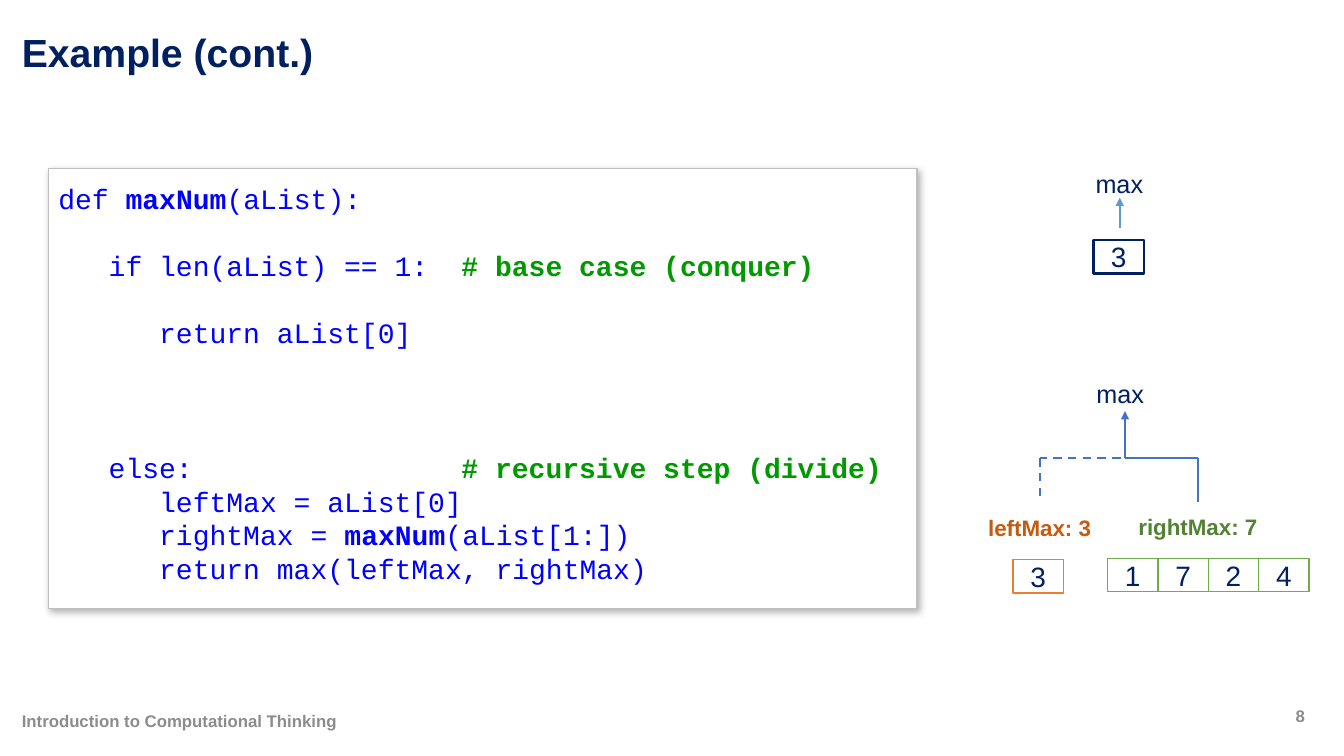
from lxml.etree import SubElement
from pptx import Presentation
from pptx.dml.color import RGBColor
from pptx.enum.dml import MSO_LINE
from pptx.enum.shapes import MSO_CONNECTOR, MSO_SHAPE
from pptx.enum.text import MSO_ANCHOR, PP_ALIGN
from pptx.oxml import parse_xml
from pptx.oxml.ns import nsdecls, qn
from pptx.util import Cm, Pt

NAVY = RGBColor(0x00, 0x20, 0x60)
GRAY = RGBColor(0x8C, 0x8C, 0x8C)
EDGE = RGBColor(0xBF, 0xBF, 0xBF)
WHITE = RGBColor(0xFF, 0xFF, 0xFF)
CODE = RGBColor(0x00, 0x00, 0xFF)
NOTE = RGBColor(0x00, 0x99, 0x00)
ORANGE = RGBColor(0xED, 0x7D, 0x31)
RUST = RGBColor(0xC5, 0x5A, 0x11)
GREEN = RGBColor(0x70, 0xAD, 0x47)
MOSS = RGBColor(0x54, 0x82, 0x35)
SKY = RGBColor(0x5B, 0x9B, 0xD5)
BLUE = RGBColor(0x44, 0x72, 0xC4)

# Text formats
HEAD = {"name": "Arial", "size": Pt(28), "bold": True, "color": NAVY}
FOOT = {"name": "Arial", "size": Pt(12), "bold": True, "color": GRAY}
WORD = {"name": "Arial", "size": Pt(18), "color": NAVY}
DIGIT = {"name": "Arial", "size": Pt(20), "color": NAVY}
LEFT = {"name": "Arial", "size": Pt(16), "bold": True, "color": RUST}
RIGHT = {**LEFT, "color": MOSS}
PLAIN = {"name": "Courier New", "size": Pt(20), "color": CODE}
BOLD = {**PLAIN, "bold": True}
REMARK = {**BOLD, "color": NOTE}

# Content: box (left, top, width, height in cm), text, format, align, anchor
MID, TOP = MSO_ANCHOR.MIDDLE, MSO_ANCHOR.TOP
START, CENTER = PP_ALIGN.LEFT, PP_ALIGN.CENTER
LABELS = [
    ((0.3, 0.43, 32.26, 1.73), "Example (cont.)", HEAD, START, MID),
    ((0.3, 17.65, 20.93, 1.02), "Introduction to Computational Thinking",
     FOOT, START, MID),
    ((32.16, 17.53, 1.22, 1.02), "8", FOOT, CENTER, MID),
    ((27.36, 4.11, 1.73, 1.02), "max", WORD, START, TOP),
    ((27.38, 9.42, 1.73, 1.02), "max", WORD, START, TOP),
    ((24.28, 12.83, 3.84, 0.94), "leftMax: 3", LEFT, CENTER, TOP),
    ((28.35, 12.8, 3.68, 0.94), "rightMax: 7", RIGHT, CENTER, TOP),
]

# Code lines: free lines above, then runs
LINES = [
    (0, [("def ", PLAIN), ("maxNum", BOLD), ("(aList):", PLAIN)]),
    (1, [("   if len(aList) == 1:\t", PLAIN),
         ("# base case (conquer)", REMARK)]),
    (1, [("      return aList[0]", PLAIN)]),
    (3, [("   else:\t", PLAIN), ("# recursive step (divide)", REMARK)]),
    (0, [("      leftMax = aList[0]", PLAIN)]),
    (0, [("      rightMax = ", PLAIN), ("maxNum", BOLD),
         ("(aList[1:])", PLAIN)]),
    (0, [("      return max(leftMax, rightMax)", PLAIN)]),
]
CARD = (1.22, 4.24, 21.89, 11.1)
PITCH = 24
STOP = Cm(10.16)

# Number rows: left, top, digits, line colour, line width
ROWS = [
    (27.56, 6.05, "3", NAVY, 2),
    (25.53, 14.1, "3", ORANGE, 1),
    (27.91, 14.07, "1724", GREEN, 1),
]
CELL = (1.27, 0.84)

# Tree lines: x1, y1, x2, y2, colour, dashed, arrow
FORK, BAR, LEAF, TWIG = 28.35, 11.53, 30.18, 26.21
LINKS = [
    (28.22, 5.74, 28.22, 4.98, SKY, False, True),
    (TWIG, 12.5, TWIG, 11.43, BLUE, True, False),
    (28.24, BAR, TWIG, BAR, BLUE, True, False),
    (LEAF, BAR, FORK, BAR, BLUE, False, False),
    (LEAF, 12.65, LEAF, BAR, BLUE, False, False),
    (FORK, BAR, FORK, 10.36, BLUE, False, True),
]


def add_run(para, text, style):
    run = para.add_run()
    run.text = text
    for key, value in style.items():
        if key == "color":
            run.font.color.rgb = value
        else:
            setattr(run.font, key, value)


def add_box(box):
    return slide.shapes.add_textbox(*map(Cm, box)).text_frame


def add_rect(box, color, width):
    rect = slide.shapes.add_shape(MSO_SHAPE.RECTANGLE, *map(Cm, box))
    rect.shadow.inherit = False
    rect.fill.solid()
    rect.fill.fore_color.rgb = WHITE
    rect.line.color.rgb = color
    rect.line.width = Pt(width)
    return rect


deck = Presentation()
deck.slide_width, deck.slide_height = Cm(33.87), Cm(19.05)
slide = deck.slides.add_slide(deck.slide_layouts[6])

# Labels
for box, text, style, align, anchor in LABELS:
    frame = add_box(box)
    frame.word_wrap = text != "max"
    frame.vertical_anchor = anchor
    para = frame.paragraphs[0]
    para.alignment = align
    add_run(para, text, style)

# Code card with soft shadow
card = add_rect(CARD, EDGE, 1)
effects = card._element.spPr.find(qn("a:effectLst"))
effects.append(parse_xml(
    f'<a:outerShdw {nsdecls("a")} blurRad="{Pt(4.5)}" dist="{Pt(2.6)}" '
    'dir="3180000" algn="ctr" rotWithShape="0"><a:srgbClr val="000000">'
    '<a:alpha val="30000"/></a:srgbClr></a:outerShdw>'))

# Code text
frame = add_box((CARD[0], 4.45, CARD[2], 10.52))
frame.word_wrap = True
for i, (gap, runs) in enumerate(LINES):
    para = frame.paragraphs[0] if i == 0 else frame.add_paragraph()
    tabs = SubElement(para._p.get_or_add_pPr(), qn("a:tabLst"))
    SubElement(tabs, qn("a:tab"), pos=str(STOP), algn="l")
    para.line_spacing = Pt(PITCH)
    para.space_before = Pt(gap * PITCH)
    for text, style in runs:
        add_run(para, text, style)

# Number cells
for left, top, digits, color, width in ROWS:
    for i, digit in enumerate(digits):
        cell = add_rect((left + i * CELL[0], top, *CELL), color, width)
        frame = cell.text_frame
        for side in ("left", "top", "right", "bottom"):
            setattr(frame, f"margin_{side}", 0)
        frame.vertical_anchor = MID
        frame.paragraphs[0].alignment = CENTER
        add_run(frame.paragraphs[0], digit, DIGIT)

# Tree lines
for *ends, color, dashed, arrow in LINKS:
    link = slide.shapes.add_connector(MSO_CONNECTOR.STRAIGHT, *map(Cm, ends))
    link.line.color.rgb = color
    link.line.width = Pt(1.5)
    if dashed:
        link.line.dash_style = MSO_LINE.DASH
    if arrow:
        SubElement(link.line._get_or_add_ln(), qn("a:tailEnd"), type="triangle")
    SubElement(link._element.spPr, qn("a:effectLst"))

deck.save("out.pptx")
